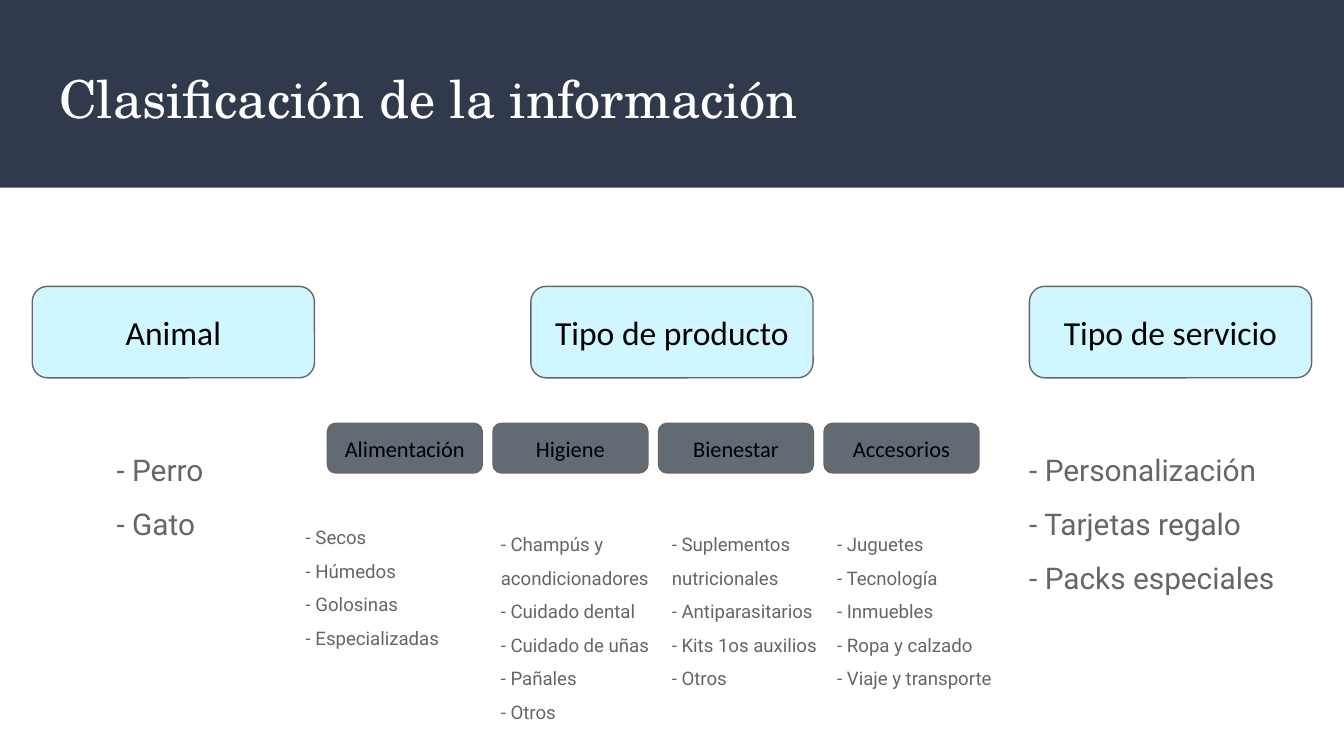
from pptx import Presentation
from pptx.dml.color import RGBColor
from pptx.enum.shapes import MSO_SHAPE
from pptx.enum.text import MSO_ANCHOR, PP_ALIGN
from pptx.util import Pt

# Content
TITLE = "Clasificación de la información"
CATEGORIES = ["Animal", "Tipo de producto", "Tipo de servicio"]
PRODUCTS = ["Alimentación", "Higiene", "Bienestar", "Accesorios"]
# Lists: (left, top, width, height), text size, items
LISTS = [
    ((55.4, 225.4, 74.2, 64.1), 16, ["Perro", "Gato"]),
    ((544.3, 225.4, 165.6, 155.5), 16,
     ["Personalización", "Tarjetas regalo", "Packs especiales"]),
    ((156.7, 268.6, 101.5, 105.1), 10,
     ["Secos", "Húmedos", "Golosinas", "Especializadas"]),
    ((261.2, 272.2, 106.6, 105.1), 10,
     ["Champús y acondicionadores", "Cuidado dental", "Cuidado de uñas",
      "Pañales", "Otros"]),
    ((352.8, 272.2, 106.6, 105.1), 10,
     ["Suplementos nutricionales", "Antiparasitarios", "Kits 1os auxilios",
      "Otros"]),
    ((441.4, 272.2, 106.6, 105.1), 10,
     ["Juguetes", "Tecnología", "Inmuebles", "Ropa y calzado",
      "Viaje y transporte"]),
]
# Rows of boxes: labels, first box, step, text size, fill
ROWS = [
    (CATEGORIES, (17.3, 153.4, 151.2, 49), 267.1, 18, "category"),
    (PRODUCTS, (175.4, 226.8, 83, 26.6), 88.7, 12, "product"),
]
COLOURS = {"band": "31394D", "title": "FFFFFF", "category": "D0F6FF",
           "product": "626B73", "grey": "666666", "label": "000000"}


def colour(name):
    return RGBColor.from_string(COLOURS[name])


def points(values):
    return [Pt(value) for value in values]


def write(shape, lines, font, size, text_colour, anchor=MSO_ANCHOR.TOP,
          align=PP_ALIGN.LEFT, spacing=1.0):
    frame = shape.text_frame
    frame_format = {"word_wrap": True, "vertical_anchor": anchor}
    for side in ("left", "top", "right", "bottom"):
        frame_format[f"margin_{side}"] = Pt(7.2)
    for key, value in frame_format.items():
        setattr(frame, key, value)
    for number, line in enumerate(lines):
        para = frame.paragraphs[0] if number == 0 else frame.add_paragraph()
        para.alignment, para.line_spacing = align, spacing
        para.space_before = para.space_after = Pt(0)
        span = para.add_run()
        span.text = line
        for key, value in {"name": font, "size": Pt(size), "bold": False}.items():
            setattr(span.font, key, value)
        span.font.color.rgb = colour(text_colour)


def add_box(page, kind, place, fill):
    box = page.shapes.add_shape(kind, *points(place))
    box.shadow.inherit = False
    box.fill.solid()
    box.fill.fore_color.rgb = colour(fill)
    return box


deck = Presentation()
deck.slide_width, deck.slide_height = Pt(720), Pt(405)
page = deck.slides.add_slide(deck.slide_layouts[5])

# Title band, behind the title
band = add_box(page, MSO_SHAPE.RECTANGLE, (0, 0, 720, 100.6), "band")
band.line.fill.background()
title = page.shapes.title
title.left, title.top, title.width, title.height = points((24.5, 28.1, 671, 49))
write(title, [TITLE], "TeX Gyre Schola", 28, "title")
page.shapes._spTree.append(title._element)

# Category and product boxes
for labels, (left, top, width, height), step, size, fill in ROWS:
    for number, label in enumerate(labels):
        box = add_box(page, MSO_SHAPE.ROUNDED_RECTANGLE,
                      (left + number * step, top, width, height), fill)
        box.line.color.rgb = colour("grey")
        box.line.width = Pt(0.75)
        write(box, [label], "Calibri", size, "label",
              MSO_ANCHOR.MIDDLE, PP_ALIGN.CENTER)

# Lists under the boxes
for place, size, items in LISTS:
    box = page.shapes.add_textbox(*points(place))
    write(box, [f"- {item}" for item in items], "Roboto", size, "grey",
          spacing=1.5)

deck.save("out.pptx")
